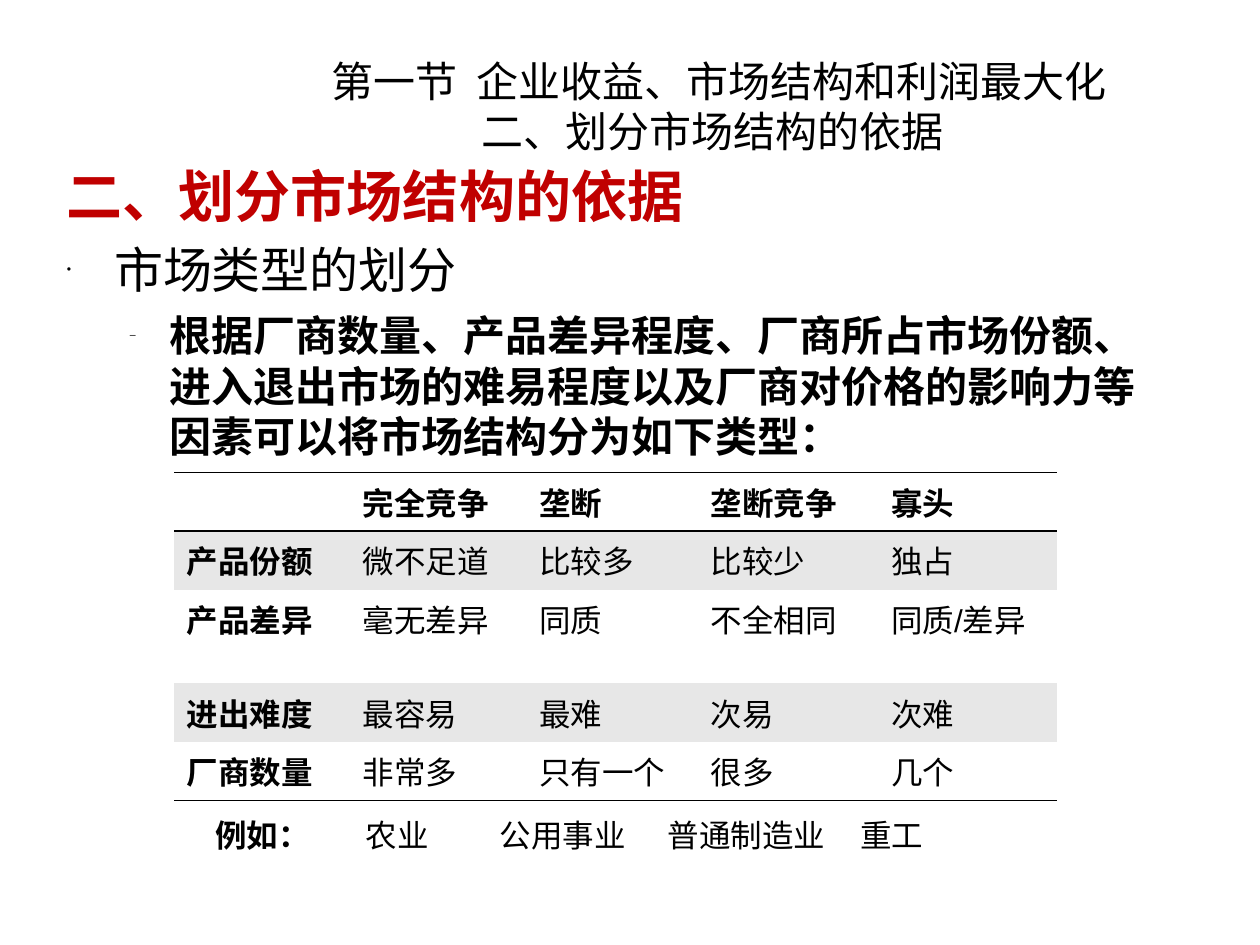
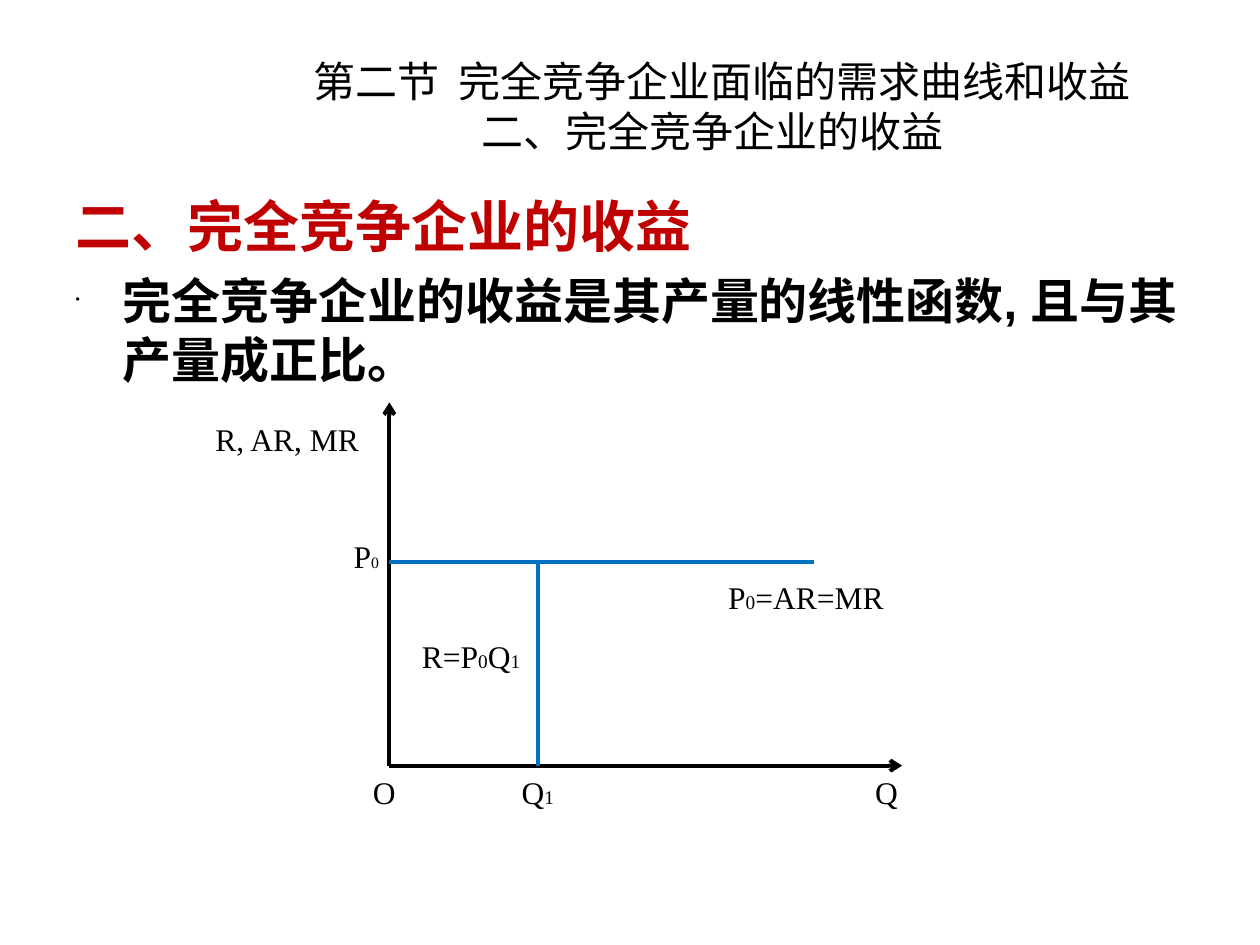
from lxml import etree
from pptx import Presentation
from pptx import util as u
from pptx.dml.color import RGBColor
from pptx.enum import shapes, text
from pptx.oxml import ns

Pt = u.Pt
BLACK = RGBColor(0x00, 0x00, 0x00)
RED = RGBColor(0xC0, 0x00, 0x00)
BLUE = RGBColor(0x00, 0x70, 0xC0)
GREY = RGBColor(0xE7, 0xE7, 0xE7)
WHITE = RGBColor(0xFF, 0xFF, 0xFF)
SANS, CJK, SERIF = "Arial", "Noto Sans CJK SC", "Times New Roman"
TITLE_BOX = (36, 26.5, 648, 68)
SUBTITLE_INDENT = 232
LEADING = 1.2


# Shared text and line helpers
def add_element(parent, tag, **attributes):
    element = etree.SubElement(parent, ns.qn(tag))
    for name, value in attributes.items():
        element.set(name, str(value))
    return element


def place(shape, box):
    shape.left, shape.top, shape.width, shape.height = map(Pt, box)


def add_span(para, words, size, font=SANS, color=BLACK, bold=False):
    span = para.add_run()
    span.text = words
    span.font.size = Pt(size)
    span.font.bold = bold
    span.font.color.rgb = color
    span.font.name = font
    add_element(span.font._element, "a:ea", typeface=CJK)
    return span


def set_layout(para, size, margin=0, hang=0, bullet=None):
    """Set indents, bullet and line height of a paragraph."""
    props = para._p.get_or_add_pPr()
    props.set("marL", str(Pt(margin)))
    props.set("indent", str(Pt(-hang)))
    if bullet:
        color = add_element(props, "a:buClr")
        add_element(color, "a:srgbClr", val=BLACK)
        add_element(props, "a:buSzPct", val=25000)
        add_element(props, "a:buFont", typeface=SANS)
        add_element(props, "a:buChar", char=bullet)
    else:
        add_element(props, "a:buNone")
    para.alignment = text.PP_ALIGN.LEFT
    para.line_spacing = Pt(size * LEADING)
    para.space_before = para.space_after = Pt(0)


def add_text_box(page, box):
    shape = page.shapes.add_textbox(*map(Pt, box))
    shape.text_frame.word_wrap = True
    return shape.text_frame.paragraphs[0]


def add_line(page, start, end, color, arrow=False):
    line = page.shapes.add_connector(
        shapes.MSO_CONNECTOR.STRAIGHT, *map(Pt, start + end))
    line.line.color.rgb = color
    line.line.width = Pt(2.25)
    if arrow:
        add_element(line.line._get_or_add_ln(), "a:tailEnd", type="arrow")
    add_element(line._element.spPr, "a:effectLst")


# Title and list placeholders
def fill_title(page, indent, section, topic, subtitle):
    title = page.shapes.title
    place(title, TITLE_BOX)
    frame = title.text_frame
    frame.auto_size = text.MSO_AUTO_SIZE.NONE
    frame.vertical_anchor = text.MSO_ANCHOR.MIDDLE
    para = frame.paragraphs[0]
    set_layout(para, 24, indent)
    add_span(para, section, 24, CJK)
    gap = add_span(para, " ", 24, CJK)
    gap.font._element.set("spc", "540")
    add_span(para, topic, 24, CJK)
    para = frame.add_paragraph()
    set_layout(para, 24, SUBTITLE_INDENT)
    add_span(para, subtitle, 24, CJK)


def fill_body(page, box, heading, points):
    body = page.placeholders[1]
    place(body, box)
    frame = body.text_frame
    frame.auto_size = text.MSO_AUTO_SIZE.NONE
    frame.vertical_anchor = text.MSO_ANCHOR.TOP
    para = frame.paragraphs[0]
    set_layout(para, 32)
    add_span(para, heading, 32, color=RED, bold=True)
    styles = ((28, 27, 27, "•"), (24, 58.5, 22.5, "–"))
    for level, (words, bold) in enumerate(points):
        size, margin, hang, bullet = styles[level]
        para = frame.add_paragraph()
        para.level = level
        set_layout(para, size, margin, hang, bullet)
        para.space_before = Pt(6.5)
        add_span(para, words, size, bold=bold)


# Table of market types
def set_borders(cell, top, bottom):
    props = cell._tc.get_or_add_tcPr()
    edges = (("a:lnL", False), ("a:lnR", False),
             ("a:lnT", top), ("a:lnB", bottom))
    for tag, drawn in edges:
        edge = add_element(props, tag, w=Pt(0.96))
        if drawn:
            add_element(add_element(edge, "a:solidFill"), "a:srgbClr", val=BLACK)
        else:
            add_element(edge, "a:noFill")


def add_market_table(page, box, rows):
    widths = (100.5, 101, 98, 103, 102)
    heights = (33.5, 33.5, 53.5, 33.5, 33.5)
    table = page.shapes.add_table(
        len(rows), len(widths), *map(Pt, box)).table
    table.first_row = table.horz_banding = False
    for column, width in zip(table.columns, widths):
        column.width = Pt(width)
    for i, (row, height) in enumerate(zip(rows, heights)):
        table.rows[i].height = Pt(height)
        for j, words in enumerate(row):
            cell = table.cell(i, j)
            set_borders(cell, i < 2, i in (0, len(rows) - 1))
            cell.fill.solid()
            cell.fill.fore_color.rgb = GREY if i % 2 else WHITE
            para = cell.text_frame.paragraphs[0]
            set_layout(para, 18)
            para.line_spacing = Pt(26)
            if words:
                add_span(para, words, 18, bold=i == 0 or j == 0)


def add_examples(page, left, top, examples):
    offsets, widths = (0, 86, 162.5, 258.5, 368.5), (70, 60, 92, 110, 60)
    for i, words in enumerate(examples):
        para = add_text_box(page, (left + offsets[i], top, widths[i], 29))
        set_layout(para, 18)
        add_span(para, words, 18, bold=i == 0)


# Revenue diagram
def add_revenue_diagram(page, left, top):
    axis_x, axis_y = left + 106.5, top + 207.5
    price_y, quantity_x = top + 91, left + 191.5
    add_line(page, (axis_x, axis_y), (axis_x, top), BLACK, arrow=True)
    add_line(page, (axis_x, axis_y), (left + 399.5, axis_y), BLACK, arrow=True)
    add_line(page, (axis_x, price_y), (left + 349, price_y), BLUE)
    add_line(page, (quantity_x, price_y - 1), (quantity_x, axis_y), BLUE)

    label_y = 208
    labels = (
        (0, 6.5, 102, [("R, AR, MR", 18)]),
        (79, 73.5, 40, [("P", 18), ("0", 9)]),
        (90, label_y, 40, [("O", 18)]),
        (377, label_y, 40, [("Q", 18)]),
        (175, label_y, 40, [("Q", 18), ("1", 11)]),
        (118, 130.5, 84, [("R=P", 18), ("0", 11), ("Q", 18), ("1", 11)]),
        (293, 96.5, 112, [("P", 18), ("0", 11), ("=AR=MR", 18)]),
    )
    for x, y, width, spans in labels:
        para = add_text_box(page, (left + x, top + y, width, 29))
        for words, size in spans:
            add_span(para, words, size, SERIF)


# Slides
def build_market_types(page):
    fill_title(page, 146.5, "第一节", "企业收益、市场结构和利润最大化",
               "二、划分市场结构的依据")
    fill_body(page, (31, 88.5, 648, 376), "二、划分市场结构的依据", [
        ("市场类型的划分", False),
        ("根据厂商数量、产品差异程度、厂商所占市场份额、进入退出市场的难易程度"
         "以及厂商对价格的影响力等因素可以将市场结构分为如下类型：", True),
    ])
    add_market_table(page, (99.5, 270, 504.5, 187.5), [
        ("", "完全竞争", "垄断", "垄断竞争", "寡头"),
        ("产品份额", "微不足道", "比较多", "比较少", "独占"),
        ("产品差异", "毫无差异", "同质", "不全相同", "同质/差异"),
        ("进出难度", "最容易", "最难", "次易", "次难"),
        ("厂商数量", "非常多", "只有一个", "很多", "几个"),
    ])
    add_examples(page, 116, 463,
                 ("例如：", "农业", "公用事业", "普通制造业", "重工"))


def build_revenue(page):
    fill_title(page, 136, "第二节", "完全竞争企业面临的需求曲线和收益",
               "二、完全竞争企业的收益")
    fill_body(page, (36, 106, 648, 376), "二、完全竞争企业的收益", [
        ("完全竞争企业的收益是其产量的线性函数, 且与其产量成正比。", True),
    ])
    add_revenue_diagram(page, 116, 230)


def main():
    deck = Presentation()
    deck.slide_width, deck.slide_height = Pt(720), Pt(540)
    for build in (build_market_types, build_revenue):
        build(deck.slides.add_slide(deck.slide_layouts[1]))
    deck.save("out.pptx")


if __name__ == "__main__":
    main()
